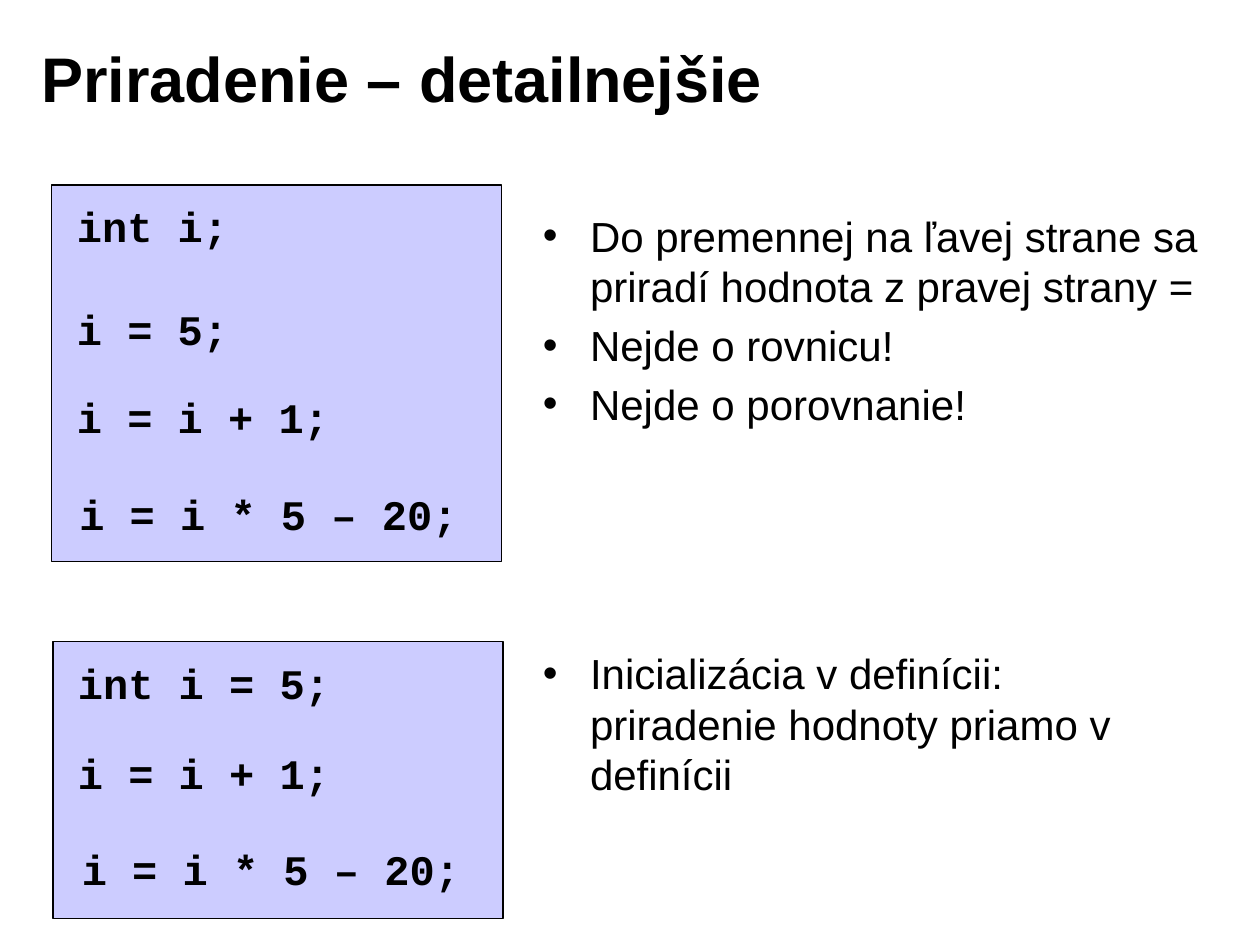
"""Build the slide on assignment statements with code panels and explanations."""
import pptx
import pptx.dml.color
import pptx.enum.shapes
import pptx.enum.text
import pptx.util

Cm = pptx.util.Cm
Pt = pptx.util.Pt
RGB = pptx.dml.color.RGBColor.from_string
COLORS = {"text": "000000", "panel": "CCCCFF", "line": "000000"}
HEADING = {"name": "Arial", "size": Pt(36), "bold": True}
BODY = {"name": "Arial", "size": Pt(24), "bold": False}
CODE = {"name": "Courier New", "size": Pt(24), "bold": True}


def fill_text(shape, lines, font, gap, anchor, wrap=True):
    """Write left-aligned paragraphs into a shape and format them."""
    frame = shape.text_frame
    frame.text = "\n".join(lines)
    frame.auto_size = pptx.enum.text.MSO_AUTO_SIZE.NONE
    frame.word_wrap = wrap
    frame.vertical_anchor = anchor
    for number, para in enumerate(frame.paragraphs):
        para.alignment = pptx.enum.text.PP_ALIGN.LEFT
        para.space_before = Pt(gap if number else 0)
        for span in para.runs:
            span.font.color.rgb = RGB(COLORS["text"])
            for name, value in font.items():
                setattr(span.font, name, value)


def place(shape, left, top, width, height):
    """Move and size a shape in centimetres."""
    shape.left, shape.top = Cm(left), Cm(top)
    shape.width, shape.height = Cm(width), Cm(height)


deck = pptx.Presentation()
deck.slide_width, deck.slide_height = Cm(25.4), Cm(19.05)
page = deck.slides.add_slide(deck.slide_layouts[3])
TOP = pptx.enum.text.MSO_ANCHOR.TOP
MIDDLE = pptx.enum.text.MSO_ANCHOR.MIDDLE

title = page.shapes.title
place(title, 0.58, 0.38, 20.4, 2.36)
fill_text(title, ["Priradenie – detailnejšie"], HEADING, 0, MIDDLE)

lists = [
    (1, (10.69, 4.11, 14.2, 4.93), [
        "Do premennej na ľavej strane sa priradí hodnota z pravej strany =",
        "Nejde o rovnicu!",
        "Nejde o porovnanie!",
    ]),
    (2, (10.69, 12.93, 11.99, 3.53), [
        "Inicializácia v definícii: priradenie hodnoty priamo v definícii",
    ]),
]
for index, area, lines in lists:
    body = page.placeholders[index]
    place(body, *area)
    fill_text(body, lines, BODY, 4.8, TOP)
    for para in body.text_frame.paragraphs:
        properties = para._p.get_or_add_pPr()
        properties.set("marL", str(Cm(0.95)))
        properties.set("indent", str(-Cm(0.95)))

panels = [(1.04, 3.73, 9.07, 7.59), (1.07, 12.93, 9.07, 5.59)]
for area in panels:
    panel = page.shapes.add_shape(pptx.enum.shapes.MSO_SHAPE.RECTANGLE, *map(Cm, area))
    panel.shadow.inherit = False
    panel.fill.solid()
    panel.fill.fore_color.rgb = RGB(COLORS["panel"])
    panel.line.color.rgb = RGB(COLORS["line"])
    panel.line.width = Pt(0.75)

snippets = [
    (1.3, 3.91, 3.53, 3.3, ["int i;", "i = 5;"]),
    (1.3, 7.77, 5.64, 1.27, ["i = i + 1;"]),
    (1.35, 9.73, 8.15, 1.24, ["i = i * 5 – 20;"]),
    (1.32, 13.13, 5.59, 1.24, ["int i = 5;"]),
    (1.32, 14.94, 5.64, 1.27, ["i = i + 1;"]),
    (1.4, 16.87, 8.15, 1.24, ["i = i * 5 – 20;"]),
]
for *area, lines in snippets:
    box = page.shapes.add_textbox(*map(Cm, area))
    fill_text(box, lines, CODE, 30, TOP, wrap=False)

deck.save("out.pptx")
